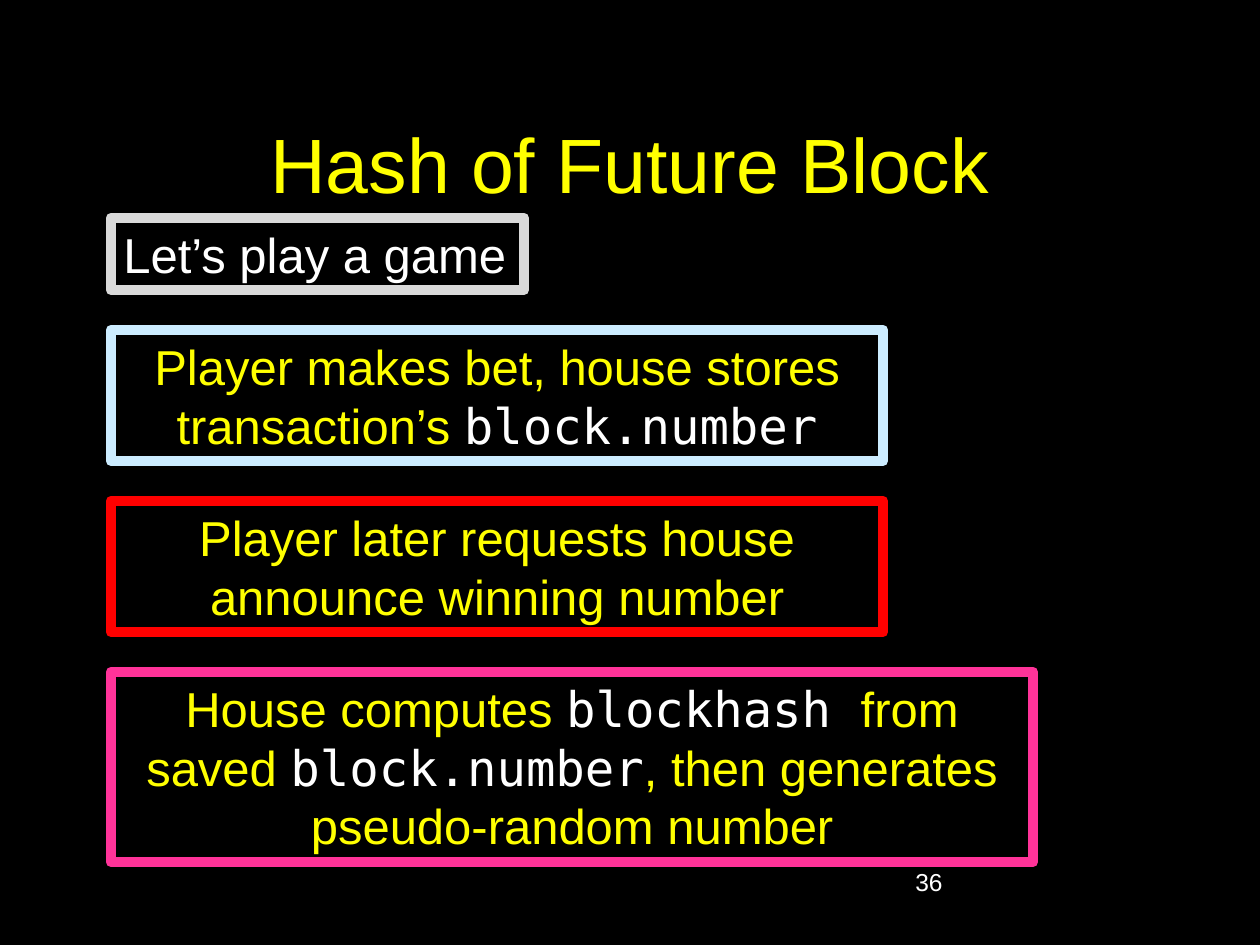
from pptx import Presentation
from pptx.dml.color import RGBColor
from pptx.enum.shapes import MSO_SHAPE as Shape
from pptx.enum.text import MSO_ANCHOR as Anchor, MSO_AUTO_SIZE as AutoSize, PP_ALIGN as Align
from pptx.util import Emu, Pt

BLACK = RGBColor(0x00, 0x00, 0x00)
WHITE = RGBColor(0xFF, 0xFF, 0xFF)
YELLOW = RGBColor(0xFF, 0xFF, 0x00)
GRAY = RGBColor(0xD9, 0xD9, 0xD9)
PALE_BLUE = RGBColor(0xCC, 0xEC, 0xFF)
RED = RGBColor(0xFF, 0x00, 0x00)
PINK = RGBColor(0xFF, 0x33, 0x99)

TEXT_FONT = "Arial"
CODE_FONT = "DejaVu Sans Mono"
LEFT, TOP, GAP = 111, 218, 40


def px(length):
    return Emu(round(length * 914400 / 126))


class GamePage:
    """Hold the deck style and the current page, and add its elements."""

    def __init__(self, deck):
        self.page = deck.slides.add_slide(deck.slide_layouts[5])
        self.page.background.fill.solid()
        self.page.background.fill.fore_color.rgb = BLACK

    def style(self, span, size, color, font=TEXT_FONT):
        span.font.name = font
        span.font.size = Pt(size)
        span.font.color.rgb = color

    def title(self, text, left, top, width, height):
        box = self.page.shapes.title
        box.left, box.top, box.width, box.height = map(px, (left, top, width, height))
        box.text_frame.text = text
        box.text_frame.vertical_anchor = Anchor.MIDDLE
        para = box.text_frame.paragraphs[0]
        para.alignment = Align.CENTER
        self.style(para.runs[0], 44, YELLOW)

    def number(self, text, left, top, width, height):
        box = self.page.shapes.add_textbox(*map(px, (left, top, width, height)))
        box.text_frame.word_wrap = True
        box.text_frame.text = text
        self.style(box.text_frame.paragraphs[0].runs[0], 14, WHITE)

    def step(self, spans, top, width, height, border, color=YELLOW,
             align=Align.CENTER, wrap=True):
        box = self.page.shapes.add_shape(
            Shape.RECTANGLE, *map(px, (LEFT, top, width, height)))
        box.shadow.inherit = False
        box.fill.solid()
        box.fill.fore_color.rgb = BLACK
        box.line.color.rgb = border
        box.line.width = Pt(6)
        frame = box.text_frame
        frame.word_wrap = wrap
        frame.auto_size = AutoSize.SHAPE_TO_FIT_TEXT
        frame.vertical_anchor = Anchor.TOP
        para = frame.paragraphs[0]
        para.alignment = align
        for index, text in enumerate(spans):
            span = para.add_run()
            span.text = text
            if index % 2:
                self.style(span, 28, WHITE, CODE_FONT)
            else:
                self.style(span, 28, color)
        return top + height + GAP


def main():
    deck = Presentation()
    deck.slide_width, deck.slide_height = px(1260), px(945)
    game = GamePage(deck)
    game.title("Hash of Future Block", 94, 84, 1072, 158)
    game.number("36", 903, 861, 262, 63)
    top = game.step(["Let’s play a game"], TOP, 413, 72, GRAY, WHITE, Align.LEFT, False)
    steps = [
        (["Player makes bet, house stores transaction’s ", "block.number"],
         772, 131, PALE_BLUE),
        (["Player later requests house announce winning number"], 772, 131, RED),
        (["House computes ", "blockhash ", "from saved ", "block.number",
          ", then generates pseudo-random number"], 922, 190, PINK),
    ]
    for spans, width, height, border in steps:
        top = game.step(spans, top, width, height, border)
    deck.save("out.pptx")


if __name__ == "__main__":
    main()
